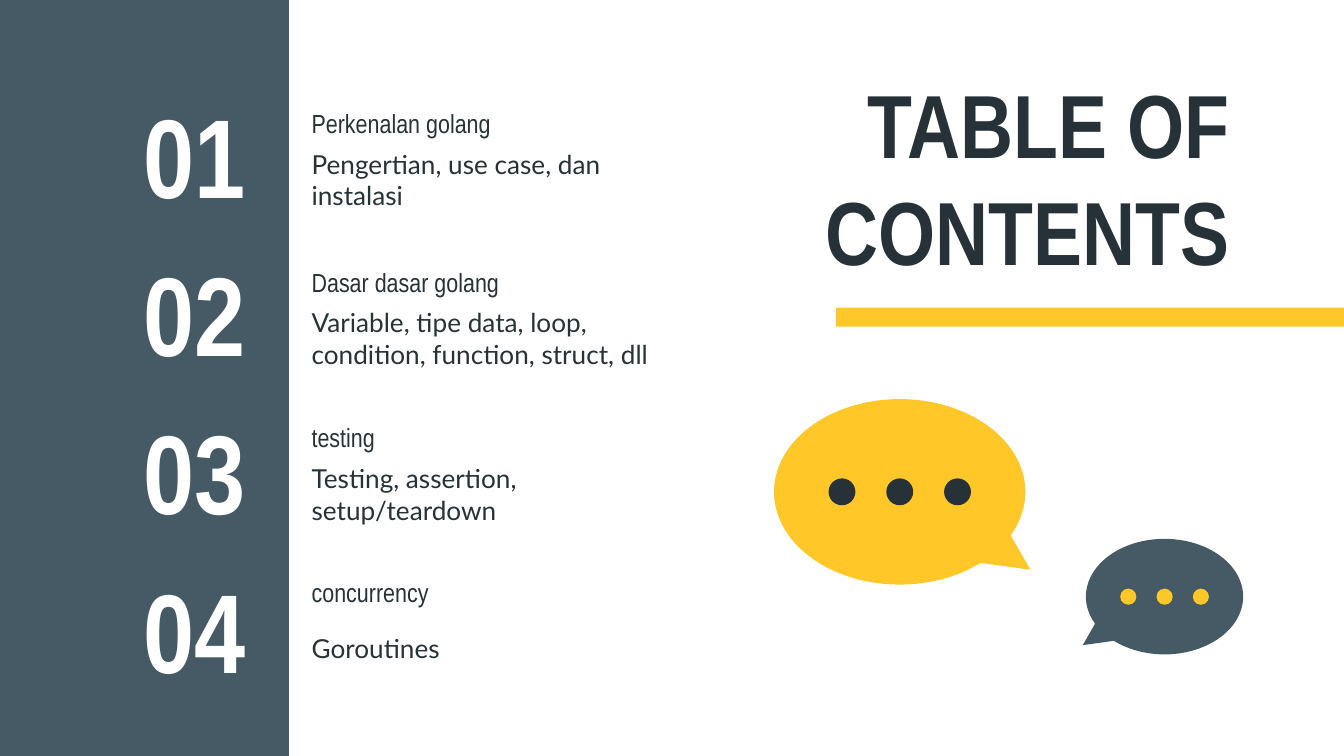
"""Build the table of contents slide."""
from pptx import Presentation
from pptx.dml.color import RGBColor
from pptx.enum.shapes import MSO_SHAPE
from pptx.enum.text import MSO_ANCHOR, MSO_AUTO_SIZE, PP_ALIGN
from pptx.util import Inches, Pt

SLATE = RGBColor(0x45, 0x5A, 0x64)
INK = RGBColor(0x26, 0x32, 0x38)
YELLOW = RGBColor(0xFF, 0xC7, 0x27)
WHITE = RGBColor(0xFF, 0xFF, 0xFF)
HEAD_FONT = "Arial Narrow"
BODY_FONT = "Lato"

SECTIONS = [
    (0.72, "Perkenalan golang", "Pengertian, use case, dan instalasi"),
    (1.9, "Dasar dasar golang",
     "Variable, tipe data, loop, condition, function, struct, dll"),
    (3.06, "testing", "Testing, assertion, setup/teardown"),
    (4.21, "concurrency", "Goroutines"),
]
FIRST_NUMBER, LAST_NUMBER = 0.77, 4.3
NUMBER_PITCH = (LAST_NUMBER - FIRST_NUMBER) / (len(SECTIONS) - 1)
HEADING_HEIGHT = 0.39


def format_text(sp, text, size, font=HEAD_FONT, color=INK, bold=False,
                align=PP_ALIGN.LEFT):
    """Fill a shape with one formatted paragraph, centred vertically."""
    tf = sp.text_frame
    tf.word_wrap = True
    tf.auto_size = MSO_AUTO_SIZE.NONE
    tf.vertical_anchor = MSO_ANCHOR.MIDDLE
    tf.margin_left = tf.margin_right = Inches(0.1)
    tf.margin_top = tf.margin_bottom = Inches(0.1)
    p = tf.paragraphs[0]
    p.text = text
    p.alignment = align
    p.font.size = Pt(size)
    p.font.name = font
    p.font.bold = bold
    p.font.color.rgb = color


def add_text(s, box, text, size, **style):
    """Add a text box at a (left, top, width, height) box in inches."""
    sp = s.shapes.add_textbox(*map(Inches, box))
    format_text(sp, text, size, **style)


def add_title(s, box, text):
    """Place and format the title placeholder."""
    sp = s.shapes.title
    sp.left, sp.top, sp.width, sp.height = map(Inches, box)
    format_text(sp, text, 48, bold=True, align=PP_ALIGN.RIGHT)


def add_filled(s, kind, box, color):
    """Add a preset shape with a plain fill and no outline."""
    sp = s.shapes.add_shape(kind, *map(Inches, box))
    sp.shadow.inherit = False
    sp.fill.solid()
    sp.fill.fore_color.rgb = color
    sp.line.fill.background()
    return sp


def add_section(s, index, top, heading, body):
    """Add the number, heading and description of one section."""
    number_top = FIRST_NUMBER + index * NUMBER_PITCH
    add_text(s, (0.75, number_top, 1.4, 0.75), f"{index + 1:02}", 60,
             color=WHITE, bold=True, align=PP_ALIGN.CENTER)
    add_text(s, (2.22, top, 2.95, HEADING_HEIGHT), heading, 14)
    add_text(s, (2.22, top + HEADING_HEIGHT, 2.95, 0.45), body, 14,
             font=BODY_FONT)


def add_bubble(s, box, color, tail_x, dot_color, dot_size, dot_pitch):
    """Add a speech bubble with a tail and three centred dots."""
    bubble = add_filled(s, MSO_SHAPE.OVAL_CALLOUT, box, color)
    bubble.adjustments[0] = tail_x
    bubble.adjustments[1] = 0.42
    left, top, width, height = box
    dot_top = top + (height - dot_size) / 2
    for step in (-1, 0, 1):
        dot_left = left + (width - dot_size) / 2 + step * dot_pitch
        add_filled(s, MSO_SHAPE.OVAL, (dot_left, dot_top, dot_size, dot_size),
                   dot_color)


def main():
    """Create and save the presentation."""
    prs = Presentation()
    prs.slide_width = Inches(10)
    prs.slide_height = prs.slide_width * 9 // 16
    s = prs.slides.add_slide(prs.slide_layouts[5])
    add_title(s, (5.31, 0.58, 3.94, 1.46), "TABLE OF CONTENTS")
    add_filled(s, MSO_SHAPE.RECTANGLE, (0, 0, 2.15, 5.64), SLATE)
    for index, section in enumerate(SECTIONS):
        add_section(s, index, *section)
    add_filled(s, MSO_SHAPE.RECTANGLE, (6.22, 2.29, 3.78, 0.14), YELLOW)
    add_bubble(s, (5.76, 2.97, 1.87, 1.38), YELLOW, 0.52, INK, 0.2, 0.43)
    add_bubble(s, (8.08, 4.01, 1.17, 0.86), SLATE, -0.52, YELLOW, 0.12, 0.27)
    prs.save("out.pptx")


if __name__ == "__main__":
    main()
